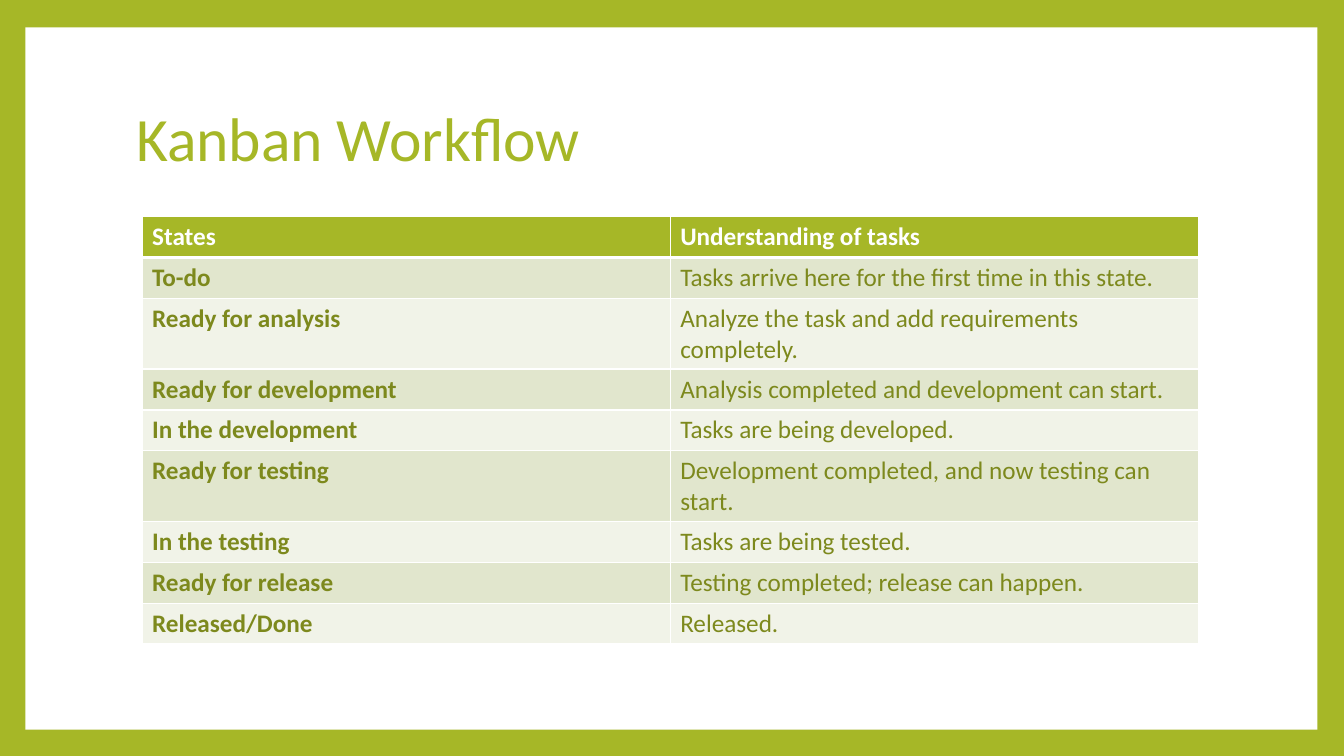
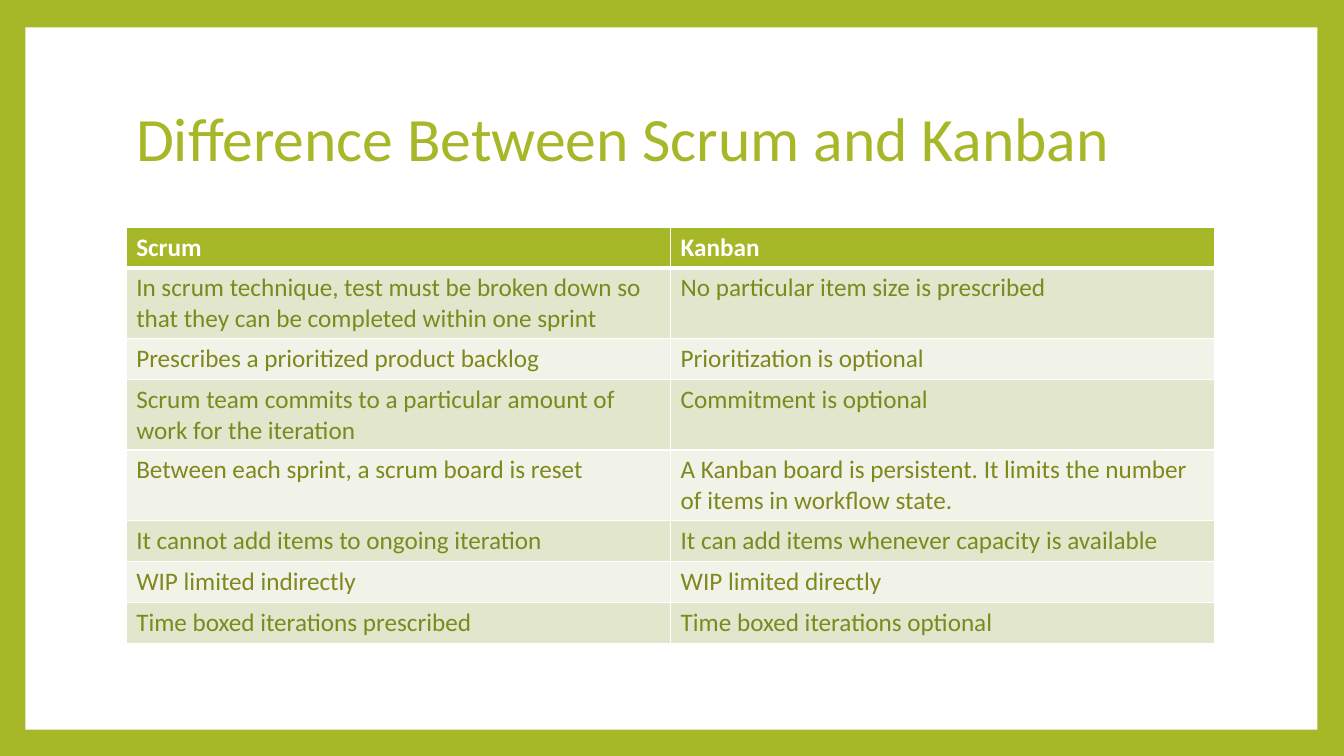
from dataclasses import dataclass

from lxml import etree
from pptx import Presentation
from pptx.dml.color import RGBColor
from pptx.enum.shapes import MSO_SHAPE
from pptx.enum.text import MSO_ANCHOR
from pptx.oxml.ns import qn
from pptx.util import Cm, Pt

RECTANGLE = MSO_SHAPE.RECTANGLE
MIDDLE = MSO_ANCHOR.MIDDLE

# Shared style
GREEN = RGBColor(0xA6, 0xB7, 0x27)
OLIVE = RGBColor(0x7D, 0x89, 0x1D)
WHITE = RGBColor(0xFF, 0xFF, 0xFF)
BAND_DARK = RGBColor(0xE1, 0xE6, 0xCD)
BAND_LIGHT = RGBColor(0xF1, 0xF3, 0xE8)
FONT = "Calibri"
TITLE_SIZE = Pt(44)
TABLE_SIZE = Pt(18)
THIN, THICK = Pt(1), Pt(3)
ROW_HEIGHT = Cm(1.03)


@dataclass
class TableSlide:
    title: str
    left: float
    top: float
    col_width: float
    bold_first_col: bool
    rows: list[tuple[str, str]]


# Content: the first row of each table is its header
SLIDES = [
    TableSlide("Kanban Workflow", 3.58, 5.46, 13.31, True, [
        ("States", "Understanding of tasks"),
        ("To-do", "Tasks arrive here for the first time in this state."),
        ("Ready for analysis", "Analyze the task and add requirements completely."),
        ("Ready for development", "Analysis completed and development can start."),
        ("In the development", "Tasks are being developed."),
        ("Ready for testing", "Development completed, and now testing can start."),
        ("In the testing", "Tasks are being tested."),
        ("Ready for release", "Testing completed; release can happen."),
        ("Released/Done", "Released."),
    ]),
    TableSlide("Difference Between Scrum and Kanban", 3.18, 5.72, 13.72, False, [
        ("Scrum", "Kanban"),
        ("In scrum technique, test must be broken down so that they can be "
         "completed within one sprint", "No particular item size is prescribed"),
        ("Prescribes a prioritized product backlog", "Prioritization is optional"),
        ("Scrum team commits to a particular amount of work for the iteration",
         "Commitment is optional"),
        ("Between each sprint, a scrum board is reset",
         "A Kanban board is persistent. It limits the number of items in workflow state."),
        ("It cannot add items to ongoing iteration",
         "It can add items whenever capacity is available"),
        ("WIP limited indirectly", "WIP limited directly"),
        ("Time boxed iterations prescribed", "Time boxed iterations optional"),
    ]),
]


def style_run(r, size: Pt, color: RGBColor, bold: bool = False) -> None:
    r.font.name = FONT
    r.font.size = size
    r.font.bold = bold
    r.font.color.rgb = color


def add_frame(s) -> None:
    """Green background with a white panel on it."""
    s.background.fill.solid()
    s.background.fill.fore_color.rgb = GREEN
    sp = s.shapes.add_shape(RECTANGLE, Cm(0.64), Cm(0.69), Cm(32.56), Cm(17.7))
    sp.shadow.inherit = False
    sp.fill.solid()
    sp.fill.fore_color.rgb = WHITE
    sp.line.fill.background()


def add_title(s, text: str) -> None:
    sp = s.shapes.add_textbox(Cm(3.18), Cm(1.7), Cm(27.43), Cm(3.76))
    tf = sp.text_frame
    tf.word_wrap = True
    tf.vertical_anchor = MIDDLE
    tf.text = text
    p = tf.paragraphs[0]
    p.line_spacing = 0.9
    style_run(p.runs[0], TITLE_SIZE, GREEN)


def set_borders(cell, top: Pt, bottom: Pt) -> None:
    props = cell._tc.get_or_add_tcPr()
    for side, width in (("L", THIN), ("R", THIN), ("T", top), ("B", bottom)):
        ln = etree.SubElement(props, qn(f"a:ln{side}"), w=str(width))
        fill = etree.SubElement(ln, qn("a:solidFill"))
        etree.SubElement(fill, qn("a:srgbClr"), val=str(WHITE))


def add_table(s, item: TableSlide) -> None:
    n_rows, n_cols = len(item.rows), len(item.rows[0])
    table = s.shapes.add_table(
        n_rows, n_cols, Cm(item.left), Cm(item.top),
        Cm(item.col_width * n_cols), ROW_HEIGHT * n_rows).table
    for row in table.rows:
        row.height = ROW_HEIGHT
    for i, texts in enumerate(item.rows):
        header = i == 0
        band = GREEN if header else BAND_DARK if i % 2 else BAND_LIGHT
        for j, text in enumerate(texts):
            cell = table.cell(i, j)
            # Borders go before the fill in the cell properties
            set_borders(cell, THICK if i == 1 else THIN, THICK if header else THIN)
            cell.fill.solid()
            cell.fill.fore_color.rgb = band
            cell.text_frame.text = text
            style_run(cell.text_frame.paragraphs[0].runs[0], TABLE_SIZE,
                      WHITE if header else OLIVE,
                      header or (item.bold_first_col and j == 0))


def main() -> None:
    prs = Presentation()
    prs.slide_width, prs.slide_height = Cm(33.87), Cm(19.05)
    blank = prs.slide_layouts[6]
    for item in SLIDES:
        s = prs.slides.add_slide(blank)
        add_frame(s)
        add_title(s, item.title)
        add_table(s, item)
    prs.save("out.pptx")


if __name__ == "__main__":
    main()
